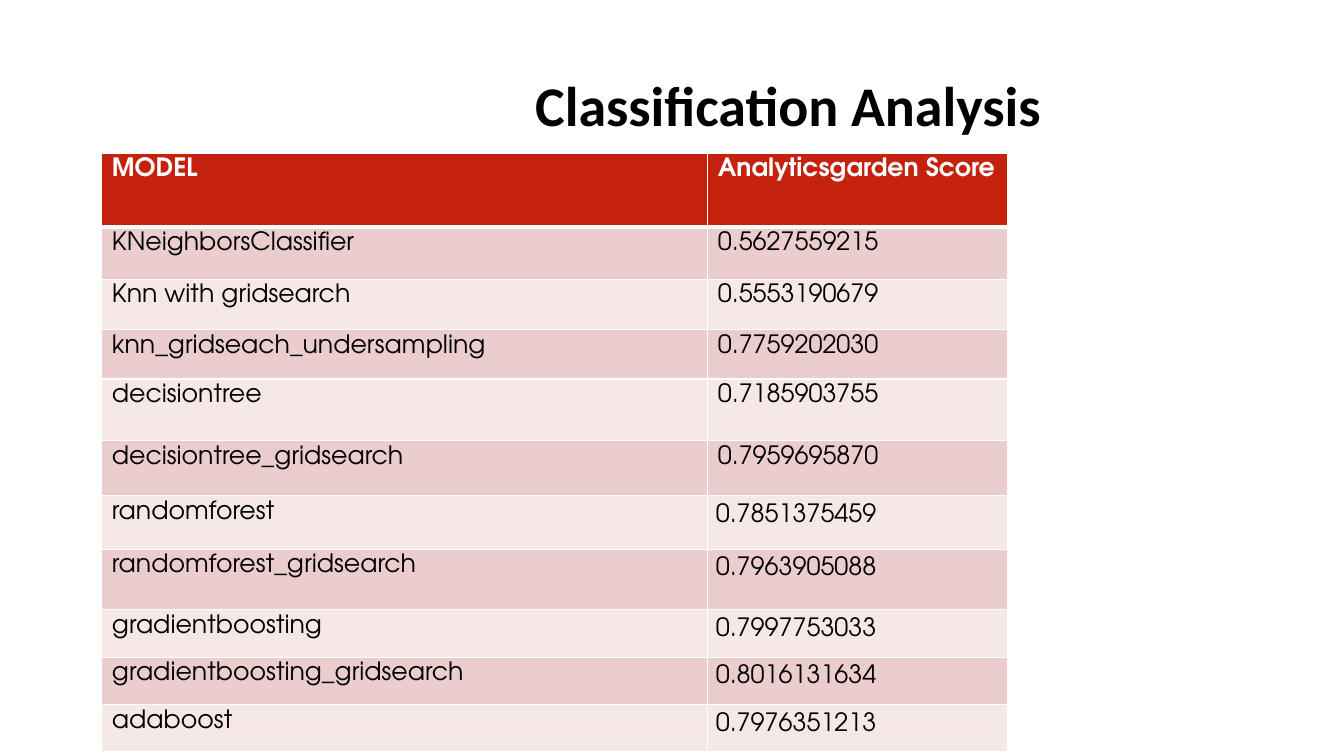
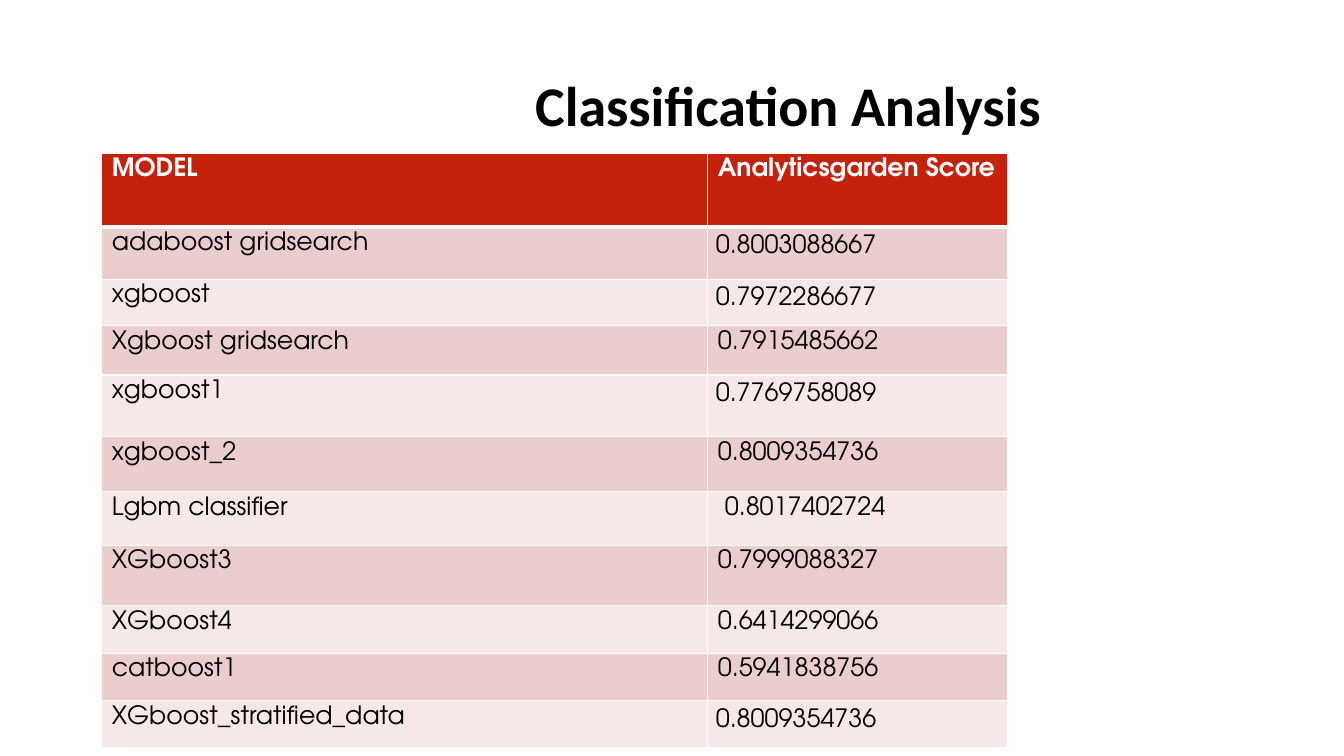
from lxml import etree
from pptx import Presentation
from pptx import util as u
from pptx.dml.color import RGBColor
from pptx.enum import text
from pptx.oxml.ns import qn

PX = u.Inches(1) // 100  # 100 px to the inch
COLORS = {
    "header": "C4220D",
    "odd": "EACDCC",
    "even": "F5E8E7",
    "white": "FFFFFF",
    "black": "000000",
}
TITLE = "Classification Analysis"
HEADER = ("MODEL", "Analyticsgarden Score")
COLUMN_WIDTHS = (601, 297)
HEADER_HEIGHT = 73
PADDED = 8  # margin on all sides of some score cells

# Each row: model, score, height, whether the score cell is padded
TABLES = [
    [
        ("KNeighborsClassifier", "0.5627559215", 52, False),
        ("Knn with gridsearch", "0.5553190679", 50, False),
        ("knn_gridseach_undersampling", "0.7759202030", 49, False),
        ("decisiontree", "0.7185903755", 61, False),
        ("decisiontree_gridsearch", "0.7959695870", 55, False),
        ("randomforest", "0.7851375459", 53, True),
        ("randomforest_gridsearch", "0.7963905088", 60, True),
        ("gradientboosting", "0.7997753033", 47, True),
        ("gradientboosting_gridsearch", "0.8016131634", 47, True),
        ("adaboost", "0.7976351213", 47, True),
    ],
    [
        ("adaboost gridsearch", "0.8003088667", 52, True),
        ("xgboost", "0.7972286677", 42, True),
        ("Xgboost gridsearch", "0.7915485662", 49, False),
        ("xgboost1", "0.7769758089", 61, True),
        ("xgboost_2", "0.8009354736", 55, False),
        ("Lgbm classifier", " 0.8017402724", 53, False),
        ("XGboost3", "0.7999088327", 60, False),
        ("XGboost4", "0.6414299066", 47, False),
        ("catboost1", "0.5941838756", 47, False),
        ("XGboost_stratified_data", "0.8009354736", 47, True),
    ],
]


def write(frame, words, font="TeX Gyre Adventor", size=18, color="black", bold=False):
    run = frame.paragraphs[0].add_run()
    run.text = words
    run.font.name = font
    run.font.size = u.Pt(size)
    run.font.bold = bold
    run.font.color.rgb = RGBColor.from_string(COLORS[color])


def style_cell(cell, fill, top=1, bottom=1):
    """Borders go in before the fill, as the schema orders them."""
    properties = cell._tc.get_or_add_tcPr()
    for side, width in (("L", 1), ("R", 1), ("T", top), ("B", bottom)):
        line = etree.SubElement(properties, qn(f"a:ln{side}"), w=str(u.Pt(width)))
        solid = etree.SubElement(line, qn("a:solidFill"))
        etree.SubElement(solid, qn("a:srgbClr"), val=COLORS["white"])
    cell.fill.solid()
    cell.fill.fore_color.rgb = RGBColor.from_string(COLORS[fill])


presentation = Presentation()
presentation.slide_width = u.Inches(13.33)
presentation.slide_height = u.Inches(7.5)

for rows in TABLES:
    slide = presentation.slides.add_slide(presentation.slide_layouts[6])

    # Table frame
    heights = [HEADER_HEIGHT] + [row[2] for row in rows]
    table = slide.shapes.add_table(
        len(heights), len(HEADER), 101 * PX, 152 * PX,
        sum(COLUMN_WIDTHS) * PX, sum(heights) * PX).table
    for column, width in zip(table.columns, COLUMN_WIDTHS):
        column.width = width * PX
    for row, height in zip(table.rows, heights):
        row.height = height * PX

    # Header row
    for column, label in enumerate(HEADER):
        cell = table.cell(0, column)
        style_cell(cell, "header", bottom=3)
        write(cell.text_frame, label, color="white", bold=True)

    # Model rows
    for number, (model, score, height, padded) in enumerate(rows, 1):
        for column, words in enumerate((model, score)):
            cell = table.cell(number, column)
            style_cell(cell, "odd" if number % 2 else "even", top=3 if number == 1 else 1)
            write(cell.text_frame, words)
        if padded:
            cell.margin_left = cell.margin_right = PADDED * PX
            cell.margin_top = cell.margin_bottom = PADDED * PX

    # Title
    frame = slide.shapes.add_textbox(521 * PX, 65 * PX, 796 * PX, 77 * PX).text_frame
    frame.word_wrap = True
    frame.auto_size = text.MSO_AUTO_SIZE.SHAPE_TO_FIT_TEXT
    write(frame, TITLE, font="Calibri", size=40, bold=True)

presentation.save("out.pptx")
